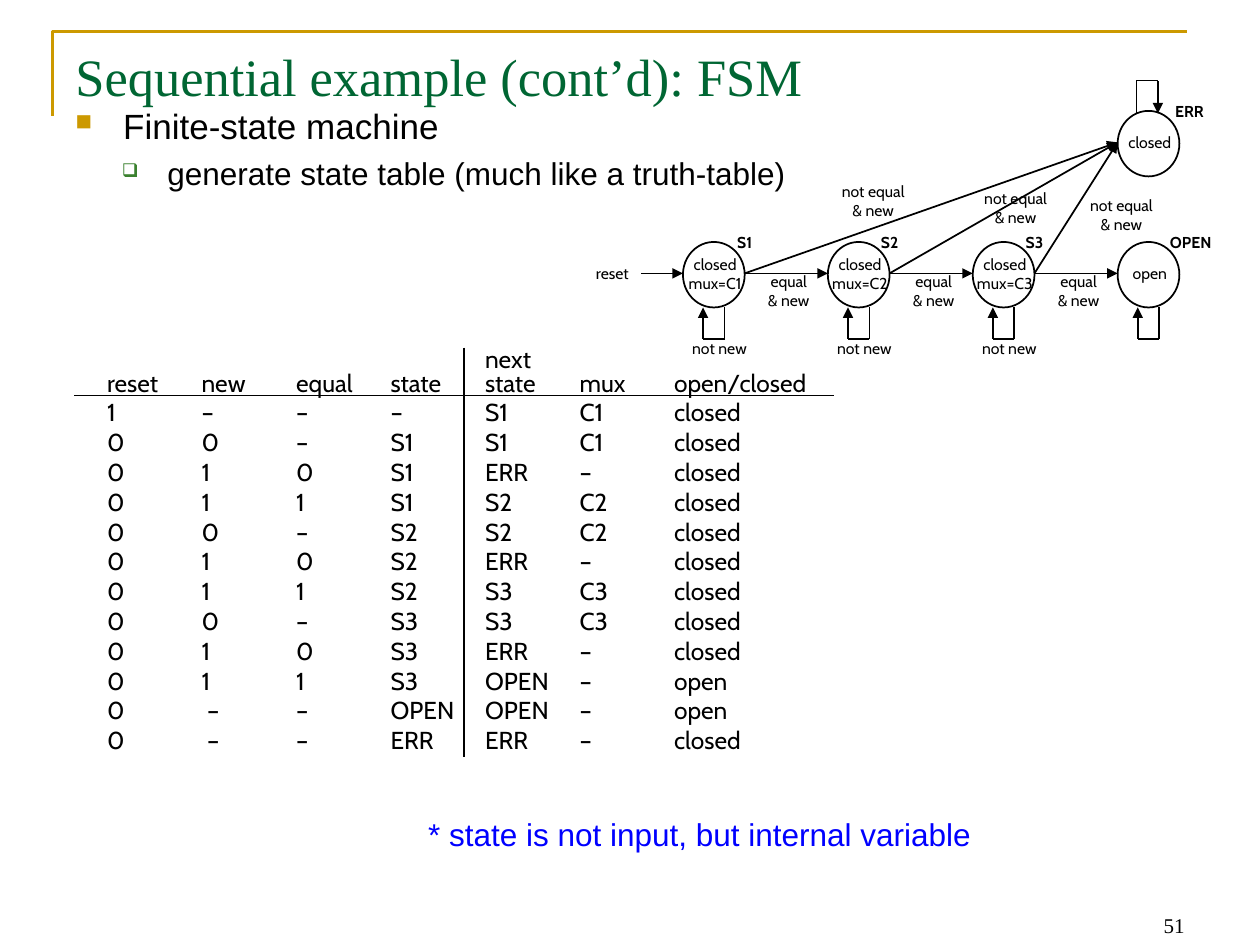
from lxml.etree import SubElement
from pptx import Presentation
from pptx.dml.color import RGBColor
from pptx.enum.shapes import MSO_CONNECTOR, MSO_SHAPE
from pptx.enum.text import MSO_ANCHOR, PP_ALIGN
from pptx.oxml.ns import qn
from pptx.util import Inches, Pt

BLACK = RGBColor(0x00, 0x00, 0x00)
GOLD = RGBColor(0xCC, 0x99, 0x00)
GREEN = RGBColor(0x00, 0x66, 0x33)
LEAF = RGBColor(0x3B, 0x81, 0x2F)
BLUE = RGBColor(0x00, 0x00, 0xFF)
NO_GRID_STYLE = "{2D5ABB26-0587-4C30-8999-92F81FD0307C}"

COLUMN_WIDTHS = [0.84, 0.75, 0.75, 0.75, 0.75, 0.75, 1.44]
INPUT_COLUMNS = 4
HEADER = ["reset", "new", "equal", "state", "next\nstate", "mux", "open/closed"]
ROWS = [
    ["1", "–", "–", "–", "S1", "C1", "closed"],
    ["0", "0", "–", "S1", "S1", "C1", "closed"],
    ["0", "1", "0", "S1", "ERR", "–", "closed"],
    ["0", "1", "1", "S1", "S2", "C2", "closed"],
    ["0", "0", "–", "S2", "S2", "C2", "closed"],
    ["0", "1", "0", "S2", "ERR", "–", "closed"],
    ["0", "1", "1", "S2", "S3", "C3", "closed"],
    ["0", "0", "–", "S3", "S3", "C3", "closed"],
    ["0", "1", "0", "S3", "ERR", "–", "closed"],
    ["0", "1", "1", "S3", "OPEN", "–", "open"],
    ["0", " –", "–", "OPEN", "OPEN", "–", "open"],
    ["0", " –", "–", "ERR", "ERR", "–", "closed"],
]

STATE_WIDTH, STATE_HEIGHT, STATE_STEP = 0.49, 0.52, 1.15


def write(paragraph, text, size, font="Cabin", color=BLACK, bold=False):
    """Add the text as runs, with a line break at each newline."""
    for index, line in enumerate(text.split("\n")):
        if index:
            paragraph.add_line_break()
        run = paragraph.add_run()
        run.text = line
        run.font.size = Pt(size)
        run.font.name = font
        run.font.bold = bold
        run.font.color.rgb = color


def set_margins(frame, horizontal, vertical):
    frame.margin_left = frame.margin_right = Inches(horizontal)
    frame.margin_top = frame.margin_bottom = Inches(vertical)


def add_text_frame(slide, left, top, width, height, wrap=True):
    box = slide.shapes.add_textbox(Inches(left), Inches(top), Inches(width), Inches(height))
    box.text_frame.word_wrap = wrap
    return box.text_frame


def add_label(slide, text, left, top, width, height=0.26, bold=False):
    frame = add_text_frame(slide, left, top, width, height, wrap=False)
    set_margins(frame, 0.02, 0.03)
    frame.paragraphs[0].alignment = PP_ALIGN.CENTER
    write(frame.paragraphs[0], text, 9, bold=bold)


def add_line(slide, start, end, arrow=None):
    """Draw a straight line; arrow is None, headEnd (start) or tailEnd (finish)."""
    x1, y1, x2, y2 = (Inches(value) for value in (*start, *end))
    line = slide.shapes.add_connector(MSO_CONNECTOR.STRAIGHT, x1, y1, x2, y2)
    line.line.color.rgb = BLACK
    line.line.width = Pt(1)
    if arrow:
        SubElement(line.line._get_or_add_ln(), qn("a:" + arrow), type="triangle")
    SubElement(line._element.spPr, qn("a:effectLst"))


def add_self_loop(slide, entry_x, exit_x, attached, outer):
    """Draw a square loop from the state's edge, with an arrowhead at entry_x."""
    add_line(slide, (entry_x, attached), (entry_x, outer), "headEnd")
    add_line(slide, (exit_x, attached), (exit_x, outer))
    add_line(slide, (exit_x, outer), (entry_x, outer))


def add_state(slide, text, left, top):
    state = slide.shapes.add_shape(MSO_SHAPE.OVAL, Inches(left), Inches(top),
                                   Inches(STATE_WIDTH), Inches(STATE_HEIGHT))
    state.fill.background()
    state.shadow.inherit = False
    state.line.color.rgb = BLACK
    state.line.width = Pt(1)
    frame = state.text_frame
    frame.word_wrap = False
    set_margins(frame, 0, 0)
    frame.margin_left = frame.margin_bottom = Inches(0.02)
    frame.vertical_anchor = MSO_ANCHOR.MIDDLE
    frame.paragraphs[0].alignment = PP_ALIGN.CENTER
    write(frame.paragraphs[0], text, 9)


def add_state_diagram(slide, left, top):
    """Place the row of states with its first circle at left, top; ERR lies above."""
    middle, bottom = top + STATE_HEIGHT / 2 - 0.01, top + STATE_HEIGHT
    error_left, error_top = left + 3 * STATE_STEP, top - 1.04
    error_entry = (error_left, error_top + STATE_HEIGHT / 2 - 0.01)
    states = [("S1", "closed\nmux=C1"), ("S2", "closed\nmux=C2"),
              ("S3", "closed\nmux=C3"), ("OPEN", "open")]

    add_label(slide, "reset", left - 0.82, top + 0.14, 0.52)
    add_line(slide, (left - 0.33, middle), (left, middle), "tailEnd")
    for index, (name, text) in enumerate(states):
        x = left + index * STATE_STEP
        add_state(slide, text, x, top)
        add_self_loop(slide, x + 0.16, x + 0.33, bottom, bottom + 0.25)
        is_open = name == "OPEN"
        add_label(slide, name, x + (0.34 if is_open else 0.25), top - 0.1, 0.48, bold=True)
        if not is_open:
            exit_point = (x + STATE_WIDTH, middle)
            add_line(slide, exit_point, (x + STATE_STEP, middle), "tailEnd")
            add_line(slide, exit_point, error_entry, "tailEnd")
            add_label(slide, "equal\n& new", x + 0.29, top + 0.21, 1.1, 0.42)
            add_label(slide, "not new", x, top + 0.74, 0.58)
    for dx, dy in [(0.96, -0.51), (2.09, -0.45), (2.93, -0.4)]:
        add_label(slide, "not equal\n& new", left + dx, top + dy, 1.1, 0.42)

    add_state(slide, "closed", error_left, error_top)
    add_self_loop(slide, error_left + 0.32, error_left + 0.15,
                  error_top + 0.02, error_top - 0.24)
    add_label(slide, "ERR", error_left + 0.28, error_top - 0.1, 0.58, bold=True)


def add_state_table(slide, left, top, header_height=0.38, row_height=0.236):
    rows = [HEADER, *ROWS]
    width = sum(COLUMN_WIDTHS)
    height = header_height + row_height * len(ROWS)
    table = slide.shapes.add_table(len(rows), len(HEADER), Inches(left), Inches(top),
                                   Inches(width), Inches(height)).table
    table.first_row = table.horz_banding = False
    table._tbl.tblPr.find(qn("a:tableStyleId")).text = NO_GRID_STYLE
    for column, column_width in zip(table.columns, COLUMN_WIDTHS):
        column.width = Inches(column_width)
    for row_index, values in enumerate(rows):
        is_header = row_index == 0
        table.rows[row_index].height = Inches(header_height if is_header else row_height)
        for column_index, value in enumerate(values):
            cell = table.cell(row_index, column_index)
            set_margins(cell, 0, 0)
            cell.margin_left = Inches(0.17 if column_index else 0.26)
            cell.vertical_anchor = MSO_ANCHOR.BOTTOM
            cell.fill.background()
            paragraph = cell.text_frame.paragraphs[0]
            paragraph.line_spacing = Pt(13.5 if is_header else 17)
            write(paragraph, value, 14)

    rule_y = top + header_height - 0.02
    rule_x = left + sum(COLUMN_WIDTHS[:INPUT_COLUMNS])
    add_line(slide, (left, rule_y), (left + width, rule_y))
    add_line(slide, (rule_x, top - 0.02), (rule_x, top + height + 0.02))


def add_corner_rule(slide, left, top, width, height):
    x, y = Inches(left), Inches(top)
    builder = slide.shapes.build_freeform(x, y + Inches(height))
    builder.add_line_segments([(x, y), (x + Inches(width), y)], close=False)
    rule = builder.convert_to_shape()
    rule.fill.background()
    rule.shadow.inherit = False
    rule.line.color.rgb = GOLD
    rule.line.width = Pt(1.75)


def add_title(slide, left, top, width, height):
    frame = add_text_frame(slide, left, top, width, height)
    set_margins(frame, 0.1, 0)
    frame.margin_bottom = Inches(0.02)
    frame.vertical_anchor = MSO_ANCHOR.BOTTOM
    write(frame.paragraphs[0], "Sequential example (cont’d): FSM", 30, "Times New Roman", GREEN)


def set_bullet(paragraph, character, color, percent, margin, hanging):
    properties = paragraph._p.get_or_add_pPr()
    properties.set("marL", str(Inches(margin)))
    properties.set("indent", str(-Inches(hanging)))
    bullet_color = SubElement(properties, qn("a:buClr"))
    SubElement(bullet_color, qn("a:srgbClr"), val=str(color))
    SubElement(properties, qn("a:buSzPct"), val=str(percent * 1000))
    SubElement(properties, qn("a:buChar"), char=character)


def add_bullets(slide, left, top, width, height):
    frame = add_text_frame(slide, left, top, width, height)
    first, second = frame.paragraphs[0], frame.add_paragraph()
    second.level = 1
    second.space_before = Pt(4.5)
    set_bullet(first, "■", GOLD, 65, 0.38, 0.38)
    set_bullet(second, "❑", LEAF, 60, 0.73, 0.36)
    write(first, "Finite-state machine", 20, "Arial")
    write(second, "generate state table (much like a truth-table)", 18, "Arial")


def add_footer(slide):
    note = add_text_frame(slide, 3.3, 6.42, 4.51, 0.4, wrap=False)
    write(note.paragraphs[0], "* state is not input, but internal variable", 18, "Arial", BLUE)
    number = add_text_frame(slide, 7.17, 6.99, 2.33, 0.5)
    number.vertical_anchor = MSO_ANCHOR.BOTTOM
    number.paragraphs[0].alignment = PP_ALIGN.RIGHT
    write(number.paragraphs[0], "51", 12, "Times New Roman")


def main():
    presentation = Presentation()
    presentation.slide_width, presentation.slide_height = Inches(10), Inches(7.5)
    slide = presentation.slides.add_slide(presentation.slide_layouts[6])
    add_corner_rule(slide, 0.42, 0.25, 9, 0.67)
    add_title(slide, 0.5, 0.3, 9, 0.57)
    add_bullets(slide, 0.5, 0.78, 9, 4.96)
    add_state_table(slide, 0.59, 2.78)
    add_state_diagram(slide, 5.42, 1.92)
    add_footer(slide)
    presentation.save("out.pptx")


if __name__ == "__main__":
    main()
